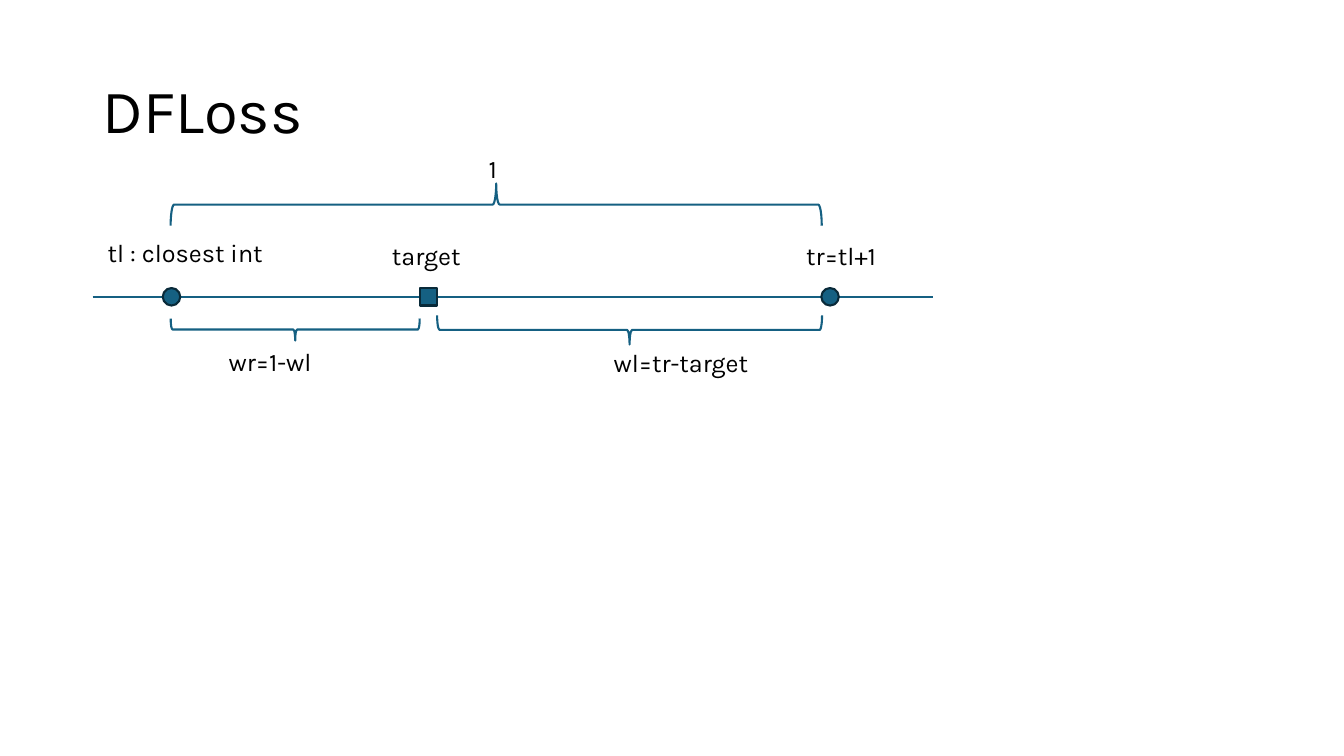
from pptx import Presentation
from pptx import util as u
from pptx.dml.color import RGBColor
from pptx.enum import shapes, text
from lxml import etree

FONT = "Karla"
BLACK = RGBColor(0x00, 0x00, 0x00)
BLUE = RGBColor(0x15, 0x60, 0x82)
NAVY = RGBColor(0x09, 0x2A, 0x39)
LINE_WIDTH = 1.5
MARKER_SIZE = 12.5
LABEL_WIDTH, LABEL_HEIGHT = 138.2, 29
DRAWING_NS = "http://schemas.openxmlformats.org/drawingml/2006/main"


def set_text(box, wording, size):
    frame = box.text_frame
    frame.text = wording
    frame.word_wrap = True
    para = frame.paragraphs[0]
    para.alignment = text.PP_ALIGN.LEFT
    font = para.runs[0].font
    font.name, font.size, font.color.rgb = FONT, u.Pt(size), BLACK


def set_line(shape, color):
    shape.line.color.rgb = color
    shape.line.width = u.Pt(LINE_WIDTH)


def add_title(page, wording, left, top, width, height):
    title = page.shapes.title
    title.left, title.top = u.Pt(left), u.Pt(top)
    title.width, title.height = u.Pt(width), u.Pt(height)
    set_text(title, wording, 44)
    frame = title.text_frame
    frame.auto_size = text.MSO_AUTO_SIZE.NONE
    frame.vertical_anchor = text.MSO_ANCHOR.MIDDLE
    frame.paragraphs[0].line_spacing = 0.9


def add_label(page, wording, left, top):
    label = page.shapes.add_textbox(
        u.Pt(left), u.Pt(top), u.Pt(LABEL_WIDTH), u.Pt(LABEL_HEIGHT))
    set_text(label, wording, 18)
    label.text_frame.auto_size = text.MSO_AUTO_SIZE.SHAPE_TO_FIT_TEXT


def add_axis(page, left, width, y):
    axis = page.shapes.add_connector(
        shapes.MSO_CONNECTOR.STRAIGHT,
        u.Pt(left), u.Pt(y), u.Pt(left + width), u.Pt(y))
    set_line(axis, BLUE)
    etree.SubElement(axis.element.spPr, f"{{{DRAWING_NS}}}effectLst")


def add_marker(page, kind, x, y):
    marker = page.shapes.add_shape(
        kind, u.Pt(x - MARKER_SIZE / 2), u.Pt(y - MARKER_SIZE / 2),
        u.Pt(MARKER_SIZE), u.Pt(MARKER_SIZE))
    marker.shadow.inherit = False
    marker.fill.solid()
    marker.fill.fore_color.rgb = BLUE
    set_line(marker, NAVY)


def add_brace(page, start, end, top, depth, rotation):
    """Lay a right brace flat from start to end, pointing down (90) or up (270)."""
    span = end - start
    brace = page.shapes.add_shape(
        shapes.MSO_SHAPE.RIGHT_BRACE,
        u.Pt((start + end - depth) / 2), u.Pt(top + (depth - span) / 2),
        u.Pt(depth), u.Pt(span))
    brace.rotation = rotation
    brace.shadow.inherit = False
    brace.fill.background()
    set_line(brace, BLUE)


def add_number_line(page, left, top, width, height):
    """Draw the axis halfway down the box, with its markers, braces and labels."""
    axis_y = top + height / 2
    add_axis(page, left, width, axis_y)

    circle, square = shapes.MSO_SHAPE.OVAL, shapes.MSO_SHAPE.RECTANGLE
    for kind, x in ((circle, 56.3), (circle, 526.7), (square, 240)):
        add_marker(page, kind, left + x, axis_y)

    # start, end, offset from the axis, depth, rotation
    for start, end, offset, depth, rotation in (
            (55.7, 520.8, -81, 30.2, 270),
            (55.7, 233.6, 15.5, 15.8, 90),
            (246, 521, 13.2, 20.9, 90)):
        add_brace(page, left + start, left + end, axis_y + offset, depth, rotation)

    # wording, left edge, offset from the axis
    for wording, x, offset in (
            ("1", 275.8, -106),
            ("tl : closest int", 3.6, -46.2),
            ("target", 206.7, -44),
            ("tr=tl+1", 502.6, -43.8),
            ("wr=1-wl", 90, 31.6),
            ("wl=tr-target", 365, 32.3)):
        add_label(page, wording, left + x, axis_y + offset)


def main():
    deck = Presentation()
    deck.slide_width, deck.slide_height = u.Pt(960), u.Pt(540)
    page = deck.slides.add_slide(deck.slide_layouts.get_by_name("Title Only"))
    add_title(page, "DFLoss", 66, 28.75, 828, 104.4)
    add_number_line(page, 66.2, 106, 600.5, 212)
    deck.save("out.pptx")


if __name__ == "__main__":
    main()
